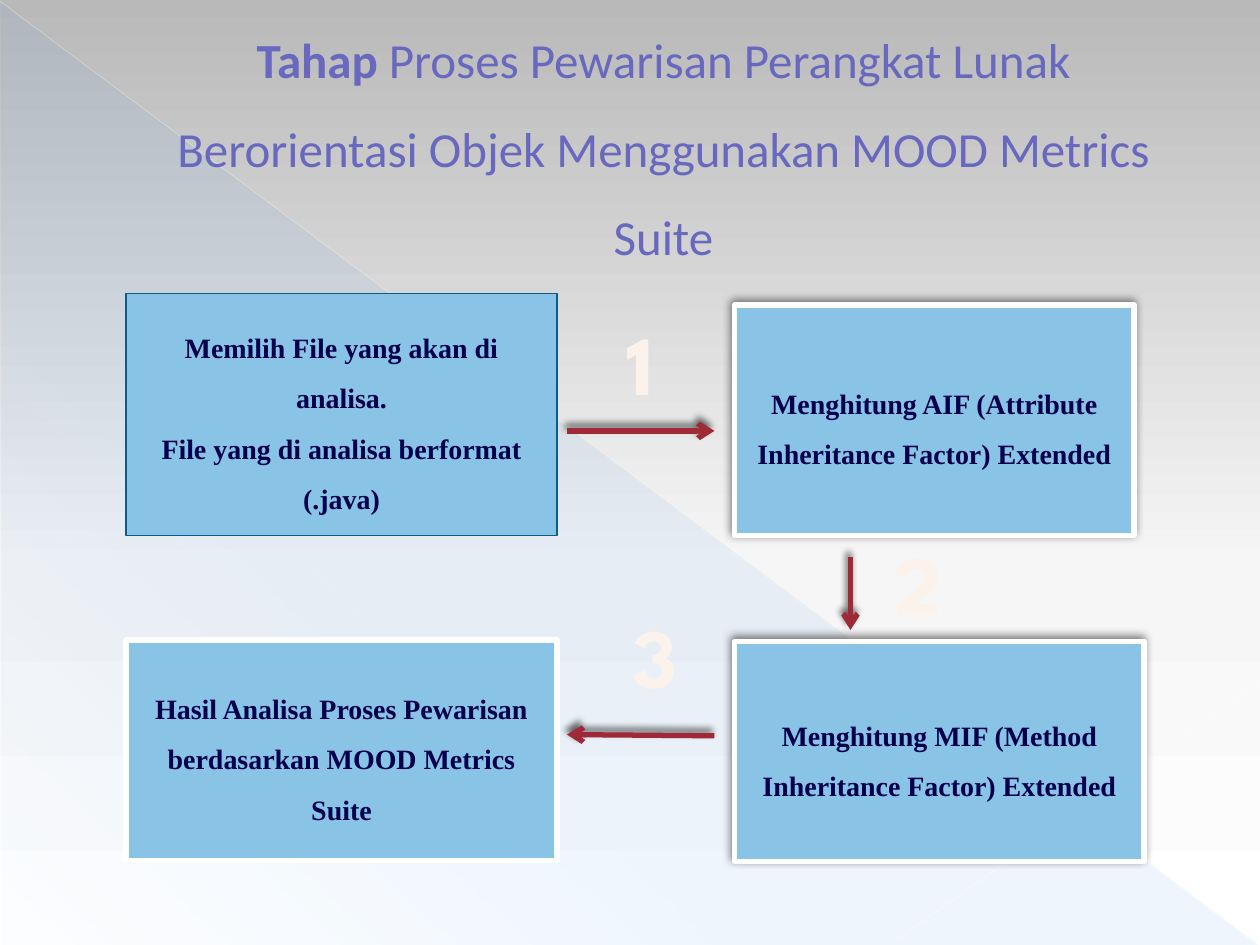
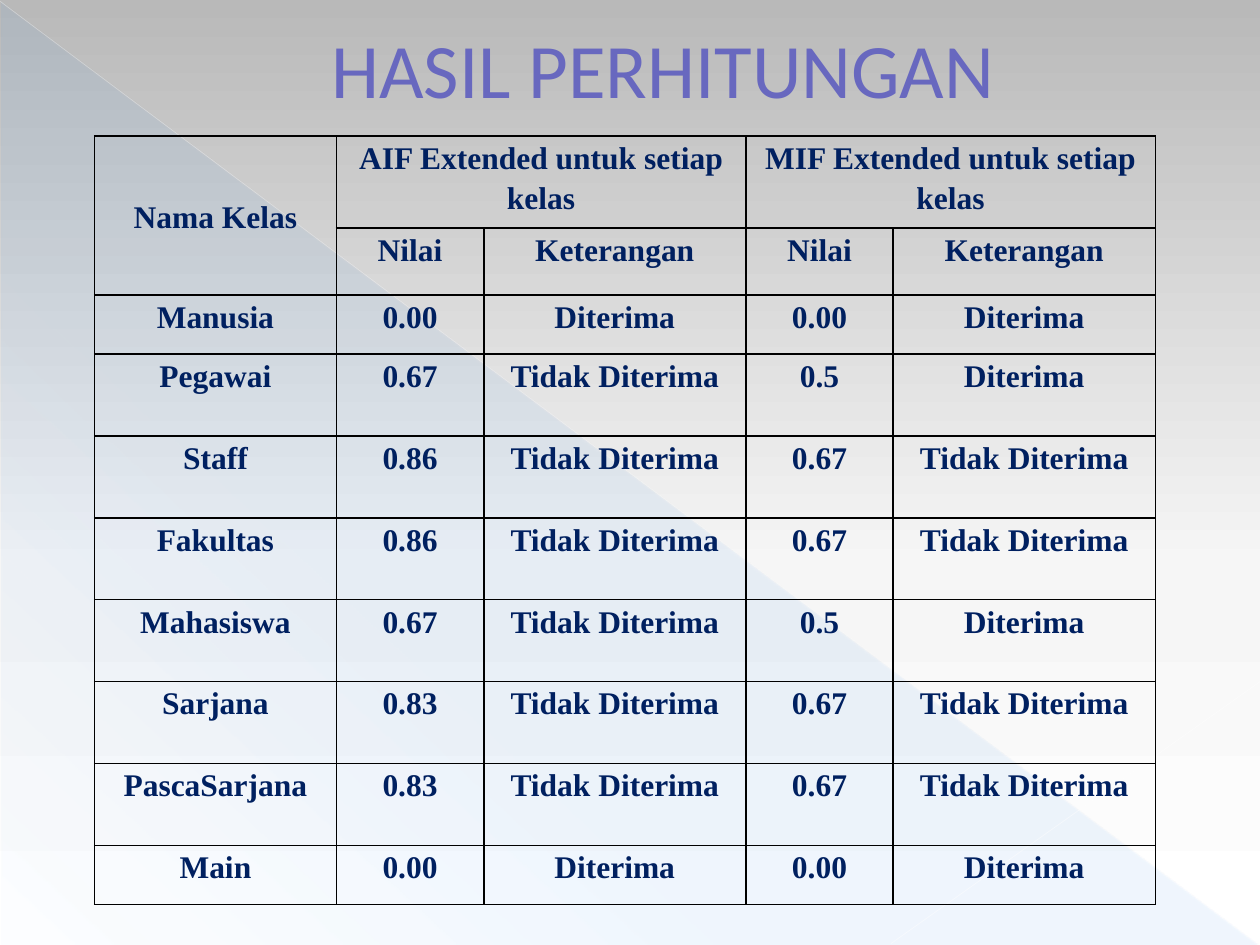
from pptx import Presentation
from pptx import util as u
from pptx.dml.color import RGBColor
from pptx.enum import shapes, text
from pptx.oxml import parse_xml
from pptx.oxml.ns import nsdecls, qn

COLORS = {
    "title": "6868BF", "title_edge": "00006A",
    "digit": "FBF3EB", "digit_edge": "B1781F",
    "box": "89C3E5", "box_edge": "115A86", "box_text": "00004C",
    "arrow": "9F2936", "cell_text": "002060", "veil": "4D99ED",
    "white": "FFFFFF", "black": "000000", "grey": "B9B9B9", "pale": "F6F6F6",
}
FONTS = {
    "title": {"name": "Calibri", "size": u.Pt(44), "bold": False},
    "digit": {"name": "League Spartan", "size": u.Pt(48), "bold": True},
    "box_text": {"name": "Times New Roman", "size": u.Pt(16), "bold": True},
    "cell_text": {"name": "Times New Roman", "size": u.Pt(18), "bold": True},
}
BOX_SHADOW = (50, 5, 2)
ARROW_SHADOW = (60, 4, 3)
BACKGROUND = [(0, "grey", 100), (60, "pale", 100), (100, "white", 100)]
VEIL = [(0, "veil", 10), (70, "veil", 8), (100, "veil", 1)]

CLASS_RESULTS = [
    ("Manusia", "0.00", "Diterima", "0.00", "Diterima"),
    ("Pegawai", "0.67", "Tidak Diterima", "0.5", "Diterima"),
    ("Staff", "0.86", "Tidak Diterima", "0.67", "Tidak Diterima"),
    ("Fakultas", "0.86", "Tidak Diterima", "0.67", "Tidak Diterima"),
    ("Mahasiswa", "0.67", "Tidak Diterima", "0.5", "Diterima"),
    ("Sarjana", "0.83", "Tidak Diterima", "0.67", "Tidak Diterima"),
    ("PascaSarjana", "0.83", "Tidak Diterima", "0.67", "Tidak Diterima"),
    ("Main", "0.00", "Diterima", "0.00", "Diterima"),
]
HEADINGS = [
    ("Nama Kelas", "AIF Extended untuk setiap kelas", "",
     "MIF Extended untuk setiap kelas", ""),
    ("", "Nilai", "Keterangan", "Nilai", "Keterangan"),
]
MERGES = [((0, 0), (1, 0)), ((0, 1), (0, 2)), ((0, 3), (0, 4))]


def inches(*values):
    return [u.Inches(value) for value in values]


def color(name):
    return RGBColor.from_string(COLORS[name])


def set_values(target, values):
    for key, value in values.items():
        setattr(target, key, value)


def color_xml(name, alpha=100):
    return (f'<a:srgbClr {nsdecls("a")} val="{COLORS[name]}">'
            f'<a:alpha val="{alpha * 1000}"/></a:srgbClr>')


def line_xml(tag, name, width):
    return parse_xml(
        f'<a:{tag} {nsdecls("a")} w="{u.Pt(width)}"><a:solidFill>'
        f'{color_xml(name)}</a:solidFill></a:{tag}>')


def set_gradient(holder, stops, angle):
    stop_list = "".join(f'<a:gs pos="{position * 1000}">{color_xml(name, alpha)}</a:gs>'
                        for position, name, alpha in stops)
    gradient = parse_xml(
        f'<a:gradFill {nsdecls("a")} rotWithShape="1"><a:gsLst>{stop_list}</a:gsLst>'
        f'<a:lin ang="{angle * 60000}" scaled="0"/></a:gradFill>')
    holder.replace(holder.find(qn("a:solidFill")), gradient)


def set_effects(shape, shadow=None):
    inner = ""
    if shadow:
        alpha, blur, distance = shadow
        inner = (f'<a:outerShdw blurRad="{u.Pt(blur)}" dist="{u.Pt(distance)}" '
                 f'dir="{245 * 60000}" rotWithShape="0">{color_xml("black", alpha)}'
                 '</a:outerShdw>')
    properties = shape.element.find(qn("p:spPr"))
    properties.append(parse_xml(f'<a:effectLst {nsdecls("a")}>{inner}</a:effectLst>'))


class Deck:
    def __init__(self):
        self.presentation = Presentation()
        set_values(self.presentation,
                   {"slide_width": u.Inches(10), "slide_height": u.Inches(7.5)})
        self.slide = None

    def add_slide(self):
        layout = self.presentation.slide_layouts[5]
        self.slide = self.presentation.slides.add_slide(layout)

    def decorate_master(self):
        master = self.presentation.slide_master
        master.background.fill.solid()
        set_gradient(next(master.element.iter(qn("p:bgPr"))), BACKGROUND, 90)

        triangle = self.slide.shapes.add_shape(
            shapes.MSO_SHAPE.RIGHT_TRIANGLE, *inches(0.01, 0.02, 9.98, 7.48))
        triangle.fill.solid()
        triangle.line.fill.background()
        set_gradient(triangle.element.find(qn("p:spPr")), VEIL, 133)
        set_effects(triangle)
        decorations = [
            triangle,
            self.line((0, 0.01), (9.99, 7.49), "white", 0.39, alpha=35),
            self.line((10, 5.41), (7.07, 7.49), "white", 0.47, alpha=45),
        ]
        for index, shape in enumerate(decorations):
            next(shape.element.iter(qn("p:cNvPr"))).set("id", str(20 + index))
            master.shapes.element.insert(2 + index, shape.element)

    def add_text(self, paragraph, content, style, spacing, **changes):
        set_values(paragraph, {"alignment": text.PP_ALIGN.CENTER, "line_spacing": spacing})
        run = paragraph.add_run()
        run.text = content
        set_values(run.font, {**FONTS[style], **changes})
        run.font.color.rgb = color(style)

    def outline_text(self, shape, name, width):
        for properties in shape.element.iter(qn("a:rPr")):
            properties.insert(0, line_xml("ln", name, width))

    def title(self, runs, top, height, spacing=1.0, size=44):
        title = self.slide.shapes.title
        set_values(title, dict(zip(("left", "top", "width", "height"),
                                   inches(0.5, top, 9, height))))
        frame = title.text_frame
        set_values(frame, {"word_wrap": True, "auto_size": text.MSO_AUTO_SIZE.NONE,
                           "vertical_anchor": text.MSO_ANCHOR.MIDDLE})
        for content, bold in runs:
            self.add_text(frame.paragraphs[0], content, "title", spacing,
                          size=u.Pt(size), bold=bold)
        for properties in title.element.iter(qn("a:pPr")):
            properties.set("marL", str(u.Inches(0.53)))
            properties.set("indent", "0")
        self.outline_text(title, "title_edge", 0.5)

    def digit(self, content, left, top):
        box = self.slide.shapes.add_textbox(*inches(left, top, 0.54, 0.91))
        set_values(box.text_frame, {"word_wrap": False,
                                    "auto_size": text.MSO_AUTO_SIZE.SHAPE_TO_FIT_TEXT})
        self.add_text(box.text_frame.paragraphs[0], content, "digit", 1.0)
        self.outline_text(box, "digit_edge", 2.48)

    def box(self, lines, place, edge="white", width=3, shadow=None):
        box = self.slide.shapes.add_shape(shapes.MSO_SHAPE.RECTANGLE, *inches(*place))
        box.fill.solid()
        box.fill.fore_color.rgb = color("box")
        box.line.color.rgb = color(edge)
        box.line.width = u.Pt(width)
        set_effects(box, shadow)
        frame = box.text_frame
        set_values(frame, {"word_wrap": True, "vertical_anchor": text.MSO_ANCHOR.MIDDLE})
        for index, content in enumerate(lines):
            paragraph = frame.add_paragraph() if index else frame.paragraphs[0]
            self.add_text(paragraph, content, "box_text", 1.5)

    def line(self, start, end, name, width, alpha=100, shadow=None):
        line = self.slide.shapes.add_connector(
            shapes.MSO_CONNECTOR.STRAIGHT, *inches(*start, *end))
        line.line.width = u.Pt(width)
        line.line.color.rgb = color(name)
        fill = next(line.element.iter(qn("a:solidFill")))
        fill.replace(fill[0], parse_xml(color_xml(name, alpha)))
        set_effects(line, shadow)
        return line

    def arrow(self, start, end):
        arrow = self.line(start, end, "arrow", 3, shadow=ARROW_SHADOW)
        outline = next(arrow.element.iter(qn("a:ln")))
        outline.append(parse_xml(f'<a:tailEnd {nsdecls("a")} type="arrow"/>'))

    def table(self, rows, place, widths, heights, merges):
        frame = self.slide.shapes.add_table(len(rows), len(widths), *inches(*place))
        table = frame.table
        set_values(table, {"first_row": False, "horz_banding": False})
        for column, width in zip(table.columns, widths):
            column.width = u.Inches(width)
        for row, height in zip(table.rows, heights):
            row.height = u.Inches(height)
        for row_index, values in enumerate(rows):
            for column_index, value in enumerate(values):
                self.cell(table.cell(row_index, column_index), value)
        for first, last in merges:
            table.cell(*first).merge(table.cell(*last))
        table.cell(0, 0).vertical_anchor = text.MSO_ANCHOR.MIDDLE
        for properties in list(frame.element.iter(qn("a:tcPr"))):
            for index, tag in enumerate(("lnL", "lnR", "lnT", "lnB")):
                properties.insert(index, line_xml(f"{tag}", "black", 1))

    def cell(self, cell, value):
        cell.fill.background()
        set_values(cell, {"margin_left": u.Inches(0.07), "margin_right": u.Inches(0.07),
                          "margin_top": 0, "margin_bottom": 0})
        if value:
            self.add_text(cell.text_frame.paragraphs[0], value, "cell_text", 1.15)


def build_process_slide(deck):
    deck.digit("2", 7, 4.17)
    deck.digit("1", 4.81, 2.42)
    deck.digit("3", 4.92, 4.75)
    deck.title([("Tahap ", True),
                ("Proses Pewarisan Perangkat Lunak Berorientasi Objek "
                 "Menggunakan MOOD Metrics Suite", False)], 0.29, 1.53, 1.5, 28)
    deck.box(["Memilih File yang akan di analisa.",
              "File yang di analisa berformat (.java)"],
             (1, 2.33, 3.42, 1.92), "box_edge", 0.75)
    deck.box(["Menghitung AIF (Attribute Inheritance Factor) Extended"],
             (5.83, 2.42, 3.17, 1.83), shadow=BOX_SHADOW)
    deck.box(["Menghitung MIF (Method Inheritance Factor) Extended"],
             (5.83, 5.09, 3.25, 1.75), shadow=BOX_SHADOW)
    deck.box(["Hasil Analisa Proses Pewarisan berdasarkan MOOD Metrics Suite"],
             (1, 5.08, 3.42, 1.75))
    deck.arrow((4.5, 3.42), (5.67, 3.42))
    deck.arrow((6.75, 4.42), (6.75, 5))
    deck.arrow((5.67, 5.84), (4.5, 5.83))


def build_results_slide(deck):
    deck.title([("HASIL PERHITUNGAN", False)], 0, 1.08)
    deck.table(HEADINGS + CLASS_RESULTS, (0.75, 1.08, 8.42, 6.08),
               [1.92] + [1.17, 2.08] * 2,
               [0.73, 0.53, 0.47] + [0.65] * 6 + [0.47], MERGES)


def main():
    deck = Deck()
    deck.add_slide()
    deck.decorate_master()
    build_process_slide(deck)
    deck.add_slide()
    build_results_slide(deck)
    deck.presentation.save("out.pptx")


if __name__ == "__main__":
    main()
